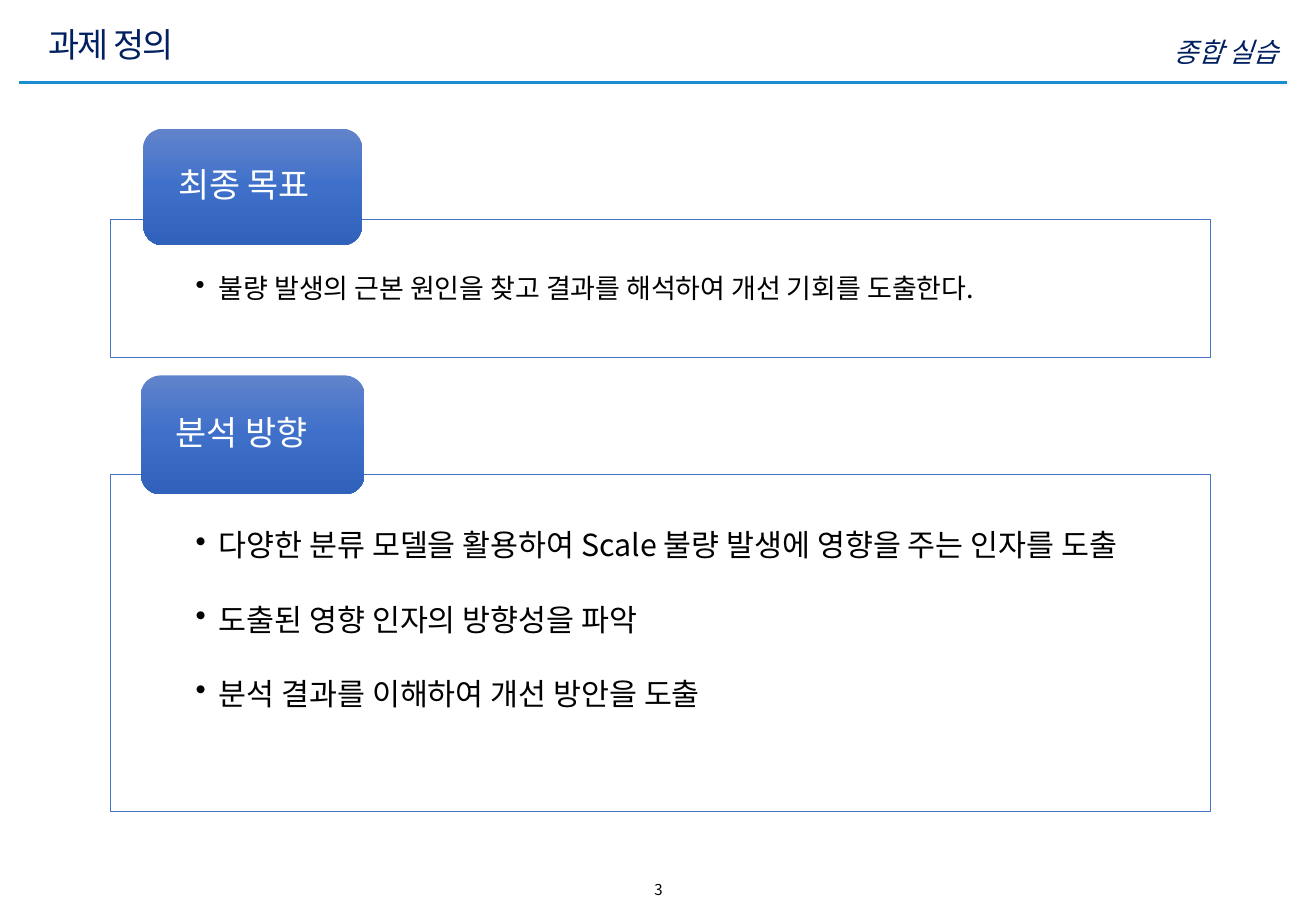
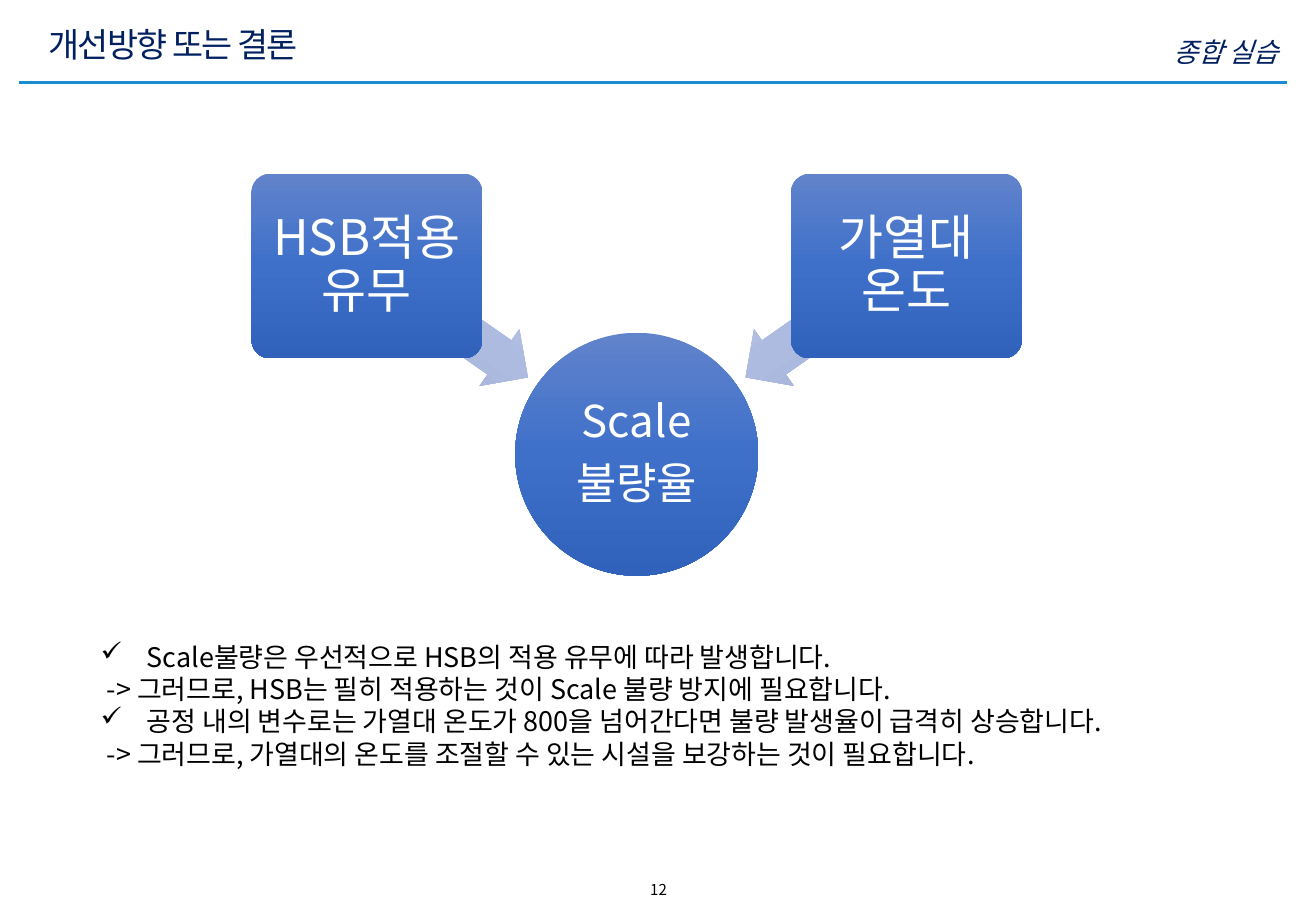
from copy import deepcopy

from lxml.etree import SubElement
from pptx import Presentation
from pptx.dml.color import RGBColor
from pptx.enum.shapes import MSO_CONNECTOR, MSO_SHAPE as SHAPE
from pptx.enum.text import MSO_ANCHOR as ANCHOR, PP_ALIGN as ALIGN
from pptx.oxml.ns import qn
from pptx.util import Inches, Pt

FONT = "Noto Sans CJK KR"
COLORS = {
    "white": "FFFFFF",
    "black": "000000",
    "navy": "002060",
    "rule": "188DD0",
    "outline": "4472C4",
}
BLUE_GRADIENT = ("6183CB", "3E70CA", "3062BB")
PALE_GRADIENT = ("BBC5E3", "AEBBE0", "98A4CB")


def rgb(name):
    return RGBColor.from_string(COLORS[name])


def set_frame(frame, anchor=ANCHOR.TOP, insets=(0.1, 0.05, 0.1, 0.05)):
    frame.word_wrap = True
    frame.vertical_anchor = anchor
    (frame.margin_left, frame.margin_top,
     frame.margin_right, frame.margin_bottom) = map(Inches, insets)


def set_indent(paragraph, left, bullet=None):
    """Indent a paragraph; a bullet hangs at the left of the indent."""
    props = paragraph._p.get_or_add_pPr()
    props.set("marL", str(Inches(left)))
    props.set("indent", str(-Inches(left) if bullet else 0))
    if bullet:
        SubElement(props, qn("a:buChar")).set("char", bullet)


def style(paragraph, size, color="black", align=ALIGN.LEFT, italic=False,
          line=None, after=None, tracking=None):
    paragraph.alignment = align
    paragraph.line_spacing = line
    if after is not None:
        paragraph.space_after = Pt(after)
    font = paragraph.font
    font.size, font.italic, font.name = Pt(size), italic, FONT
    font.color.rgb = rgb(color)
    defaults = paragraph._p.pPr.find(qn("a:defRPr"))
    SubElement(defaults, qn("a:ea")).set("typeface", FONT)
    if tracking is not None:
        defaults.set("spc", str(tracking * 100))


def write_lines(frame, lines):
    """Write one paragraph per line and return the paragraphs."""
    frame.text = "\n".join(lines)
    return frame.paragraphs


def add_text(slide, box, text, size, anchor=ANCHOR.TOP, **look):
    frame = slide.shapes.add_textbox(*map(Inches, box)).text_frame
    set_frame(frame, anchor)
    style(write_lines(frame, [text])[0], size, **look)


def add_gradient_shape(slide, kind, box, colors=BLUE_GRADIENT):
    """Add a borderless shape shaded evenly from top to bottom."""
    shape = slide.shapes.add_shape(kind, *map(Inches, box))
    shape.shadow.inherit = False
    shape.line.fill.background()
    shape.fill.gradient()
    shape.fill.gradient_angle = 270
    stops = shape._element.spPr.find(qn("a:gradFill")).find(qn("a:gsLst"))
    stops.append(deepcopy(stops[0]))
    for index, (stop, color) in enumerate(zip(shape.fill.gradient_stops, colors)):
        stop.position = index / (len(colors) - 1)
        stop.color.rgb = RGBColor.from_string(color)
    return shape


def add_label(shape, lines, size, insets, align=ALIGN.CENTER):
    set_frame(shape.text_frame, ANCHOR.MIDDLE, insets)
    for paragraph in write_lines(shape.text_frame, lines):
        style(paragraph, size, "white", align, line=0.9, after=size * 0.35)


def add_section(slide, panel, tab, heading, bullets, size, after):
    """Outlined panel of bullets with a heading tab over its top edge."""
    body = slide.shapes.add_shape(SHAPE.RECTANGLE, *map(Inches, panel))
    body.shadow.inherit = False
    body.fill.solid()
    body.fill.fore_color.rgb = rgb("white")
    fill_color = body._element.spPr.find(qn("a:solidFill"))[0]
    SubElement(fill_color, qn("a:alpha")).set("val", "90000")
    body.line.color.rgb = rgb("outline")
    body.line.width = Pt(0.5)
    set_frame(body.text_frame, insets=(0.7, 0.46, 0.7, 0.12))
    for paragraph in write_lines(body.text_frame, bullets):
        set_indent(paragraph, 0.19, "•")
        style(paragraph, size, line=0.9, after=after)
    heading_tab = add_gradient_shape(slide, SHAPE.ROUNDED_RECTANGLE, tab)
    add_label(heading_tab, [heading], 20, (0.24, 0, 0.24, 0), ALIGN.LEFT)


def add_arrow(slide, kind, left, rotation):
    arrow = add_gradient_shape(slide, kind, (left, 2.36, 1.61, 0.57), PALE_GRADIENT)
    arrow.adjustments[0], arrow.adjustments[1] = 0.6, 0.5
    arrow.rotation = rotation


def add_cause(slide, left, text):
    cause = add_gradient_shape(slide, SHAPE.ROUNDED_RECTANGLE, (left, 1.43, 1.9, 1.52))
    cause.adjustments[0] = 0.1
    add_label(cause, [text], 29, (0.06,) * 4)


def add_findings(slide, findings):
    """Checked findings, each followed by its consequence."""
    frame = slide.shapes.add_textbox(*map(Inches, (0.73, 5.22, 9.42, 1.18))).text_frame
    set_frame(frame)
    lines = [line for pair in findings for line in pair]
    for index, paragraph in enumerate(write_lines(frame, lines)):
        if index % 2:
            set_indent(paragraph, 0.05)
        else:
            set_indent(paragraph, 0.38, "✓")
        style(paragraph, 16)


def add_page(deck, title, number):
    """Blank slide with the shared rule, page number, course name and title."""
    slide = deck.slides.add_slide(deck.slide_layouts[6])
    rule = slide.shapes.add_connector(
        MSO_CONNECTOR.STRAIGHT, *map(Inches, (0.16, 0.68, 10.59, 0.68)))
    rule.line.color.rgb = rgb("rule")
    rule.line.width = Pt(2)
    SubElement(rule._element.spPr, qn("a:effectLst"))
    add_text(slide, (4.39, 7.2, 2.06, 0.25), number, 8.9, align=ALIGN.CENTER)
    add_text(slide, (6.55, 0.24, 4.07, 0.3), "종합 실습", 16,
             color="navy", align=ALIGN.RIGHT, italic=True)
    add_text(slide, (0.3, 0.14, 8.51, 0.44), title, 20, ANCHOR.MIDDLE,
             color="navy", tracking=-1)
    return slide


def add_definition_slide(deck):
    slide = add_page(deck, "과제 정의", "3")
    add_section(slide, (0.91, 1.81, 9.05, 1.13), (1.18, 1.06, 1.8, 0.96), "최종 목표",
                ["불량 발생의 근본 원인을 찾고 결과를 해석하여 개선 기회를 도출한다."],
                size=16, after=2.4)
    add_section(slide, (0.91, 3.91, 9.05, 2.77), (1.16, 3.09, 1.84, 0.98), "분석 방향",
                ["다양한 분류 모델을 활용하여 Scale 불량 발생에 영향을 주는 인자를 도출",
                 "도출된 영향 인자의 방향성을 파악",
                 "분석 결과를 이해하여 개선 방안을 도출"],
                size=18, after=24.5)


def add_conclusion_slide(deck):
    slide = add_page(deck, "개선방향 또는 결론", "12")
    effect = add_gradient_shape(slide, SHAPE.OVAL, (4.24, 2.74, 2, 2))
    add_label(effect, ["Scale", "불량율"], 26, (0.02,) * 4)
    add_arrow(slide, SHAPE.RIGHT_ARROW, 2.88, 35)
    add_cause(slide, 2.07, "HSB적용 유무")
    add_arrow(slide, SHAPE.LEFT_ARROW, 5.99, 325)
    add_cause(slide, 6.51, "가열대 온도")
    add_findings(slide, [
        ("Scale불량은 우선적으로 HSB의 적용 유무에 따라 발생합니다.",
         "-> 그러므로, HSB는 필히 적용하는 것이 Scale 불량 방지에 필요합니다."),
        ("공정 내의 변수로는 가열대 온도가 800을 넘어간다면 불량 발생율이 급격히 상승합니다.",
         "-> 그러므로, 가열대의 온도를 조절할 수 있는 시설을 보강하는 것이 필요합니다."),
    ])


def main():
    deck = Presentation()
    deck.slide_width, deck.slide_height = Inches(10.83), Inches(7.5)
    add_definition_slide(deck)
    add_conclusion_slide(deck)
    deck.save("out.pptx")


if __name__ == "__main__":
    main()
